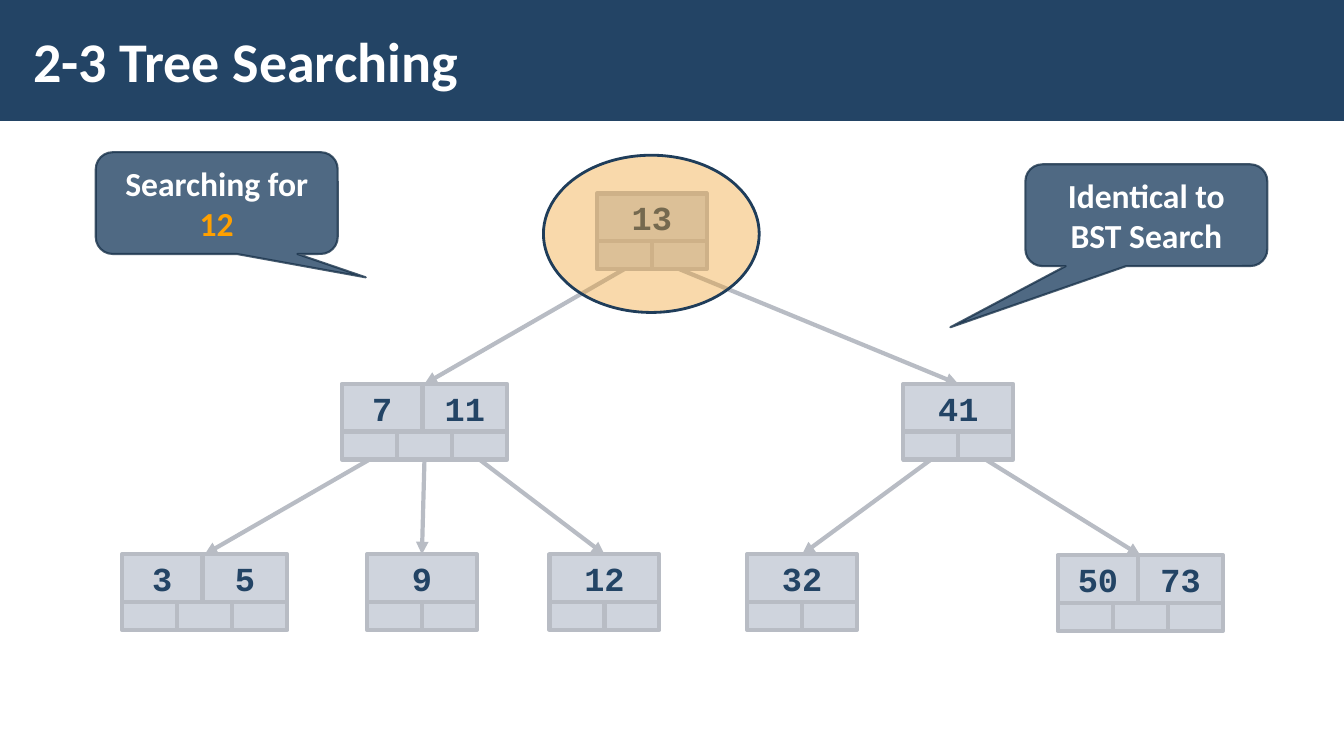
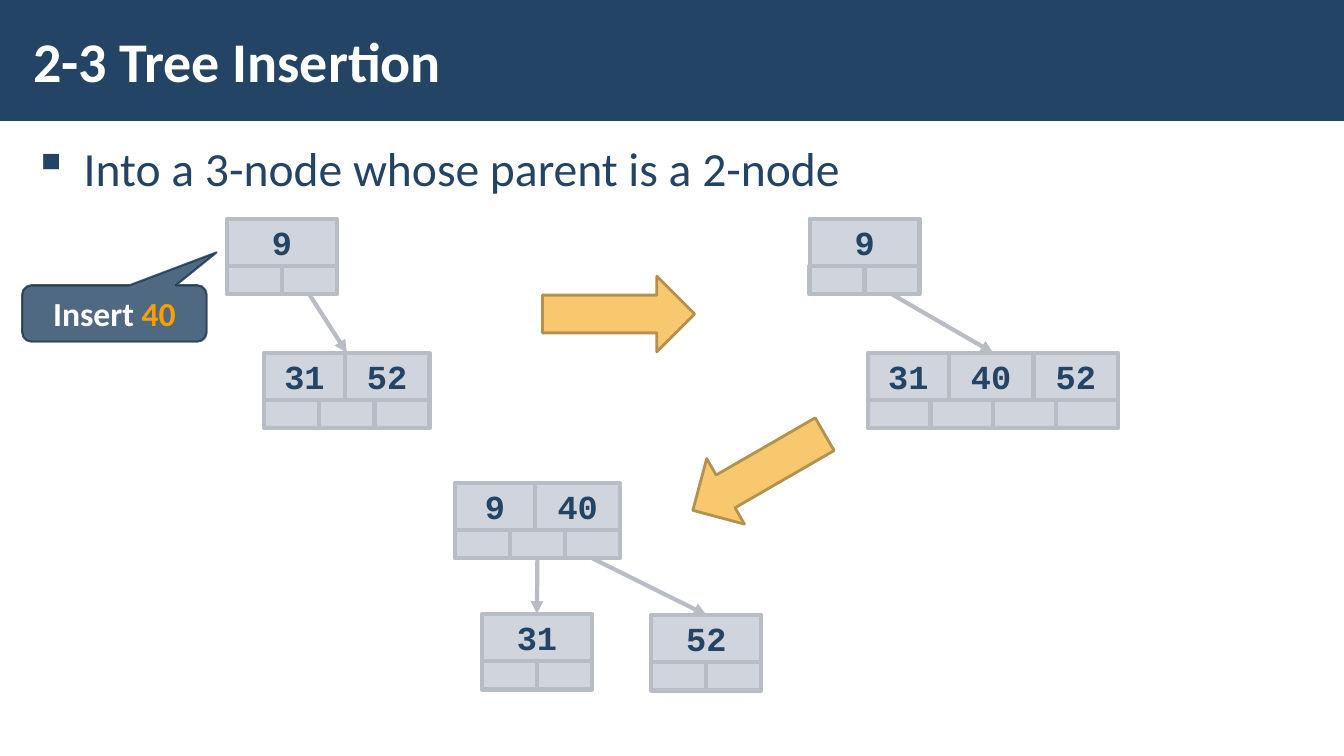
from lxml.etree import SubElement as Sub
from pptx import Presentation
from pptx.dml.color import RGBColor
from pptx.enum.shapes import MSO_CONNECTOR as Link, MSO_SHAPE as Shape
from pptx.enum.text import MSO_ANCHOR as Anchor, PP_ALIGN as Align
from pptx.oxml.ns import qn
from pptx.util import Inches, Pt

NAVY, WHITE, AMBER = "234465", "FFFFFF", "FFA000"
GREY, RULE = "A1AABC", "B8BCC4"
SANS, MONO = "Calibri", "Courier New"
KEY_H, SLOT_H = 0.47, 0.28
KEYS = {1: [1.09], 2: [0.8, 0.84], 3: [0.8, 0.84, 0.84]}


def color(code):
    return RGBColor.from_string(code)


class Deck:
    """Holds the shared style and the slide being drawn."""

    def __init__(self):
        self.prs = Presentation()
        self.prs.slide_width = Inches(13.33)
        self.prs.slide_height = Inches(7.5)

    def page(self, title):
        self.slide = self.prs.slides.add_slide(self.prs.slide_layouts[6])
        self.shape(Shape.RECTANGLE, (0, 0, 13.33, 1.2), NAVY)
        box = self.box((0.21, 0.11, 10.4, 0.97))
        box.vertical_anchor = Anchor.MIDDLE
        self.run(box.paragraphs[0], title, 40, WHITE, bold=True)

    def box(self, area):
        """Add a wrapping text box and return its text frame."""
        frame = self.slide.shapes.add_textbox(*map(Inches, area)).text_frame
        frame.word_wrap = True
        frame.margin_left = frame.margin_right = Inches(0.12)
        frame.margin_top = frame.margin_bottom = Inches(0.04)
        return frame

    def run(self, para, text, size, ink, face=SANS, bold=False):
        run = para.add_run()
        run.text = text
        font = run.font
        font.name, font.size, font.bold = face, Pt(size), bold
        font.color.rgb = color(ink)

    def shape(self, kind, area, fill, line=None, width=0, alphas=()):
        """Add a shape; alphas are the opacities of fill and line in percent."""
        shape = self.slide.shapes.add_shape(kind, *map(Inches, area))
        shape.shadow.inherit = False
        shape.fill.solid()
        shape.fill.fore_color.rgb = color(fill)
        if line:
            shape.line.color.rgb = color(line)
            shape.line.width = Pt(width)
        else:
            shape.line.fill.background()
        tints = list(shape.element.spPr.iter(qn("a:srgbClr")))
        for tint, alpha in zip(tints, alphas):
            Sub(tint, qn("a:alpha"), val=str(alpha * 1000))
        return shape

    def label(self, shape, runs, face=SANS):
        """Write centred bold (text, colour) runs into a shape."""
        frame = shape.text_frame
        frame.word_wrap = True
        frame.vertical_anchor = Anchor.MIDDLE
        para = frame.paragraphs[0]
        para.alignment = Align.CENTER
        for text, ink in runs:
            self.run(para, text, 24, ink, face, True)

    def bullet(self, text):
        para = self.box((0.21, 1.31, 12.92, 5.69)).paragraphs[0]
        para.line_spacing = 1.05
        self.run(para, text, 34, NAVY)
        props = para._p.get_or_add_pPr()
        props.set("marL", str(Inches(0.5)))
        props.set("indent", str(Inches(-0.5)))
        Sub(Sub(props, qn("a:buClr")), qn("a:srgbClr"), val=NAVY)
        Sub(props, qn("a:buChar"), char="▪")

    def callout(self, area, tip, *runs):
        shape = self.shape(Shape.ROUNDED_RECTANGULAR_CALLOUT, area, NAVY,
                           "1A334B", 1.5, (80, 80))
        for i, value in enumerate((*tip, 0.167)):
            shape.adjustments[i] = value
        self.label(shape, runs)

    def cell(self, *area):
        return self.shape(Shape.RECTANGLE, area, GREY, RULE, 3, (50,))

    def node(self, x, y, *keys):
        """Draw keys above one more child slot; return place and key count."""
        left = x
        for key, width in zip(keys, KEYS[len(keys)]):
            cell = self.cell(left, y, width, KEY_H)
            self.label(cell, [(str(key), NAVY)], MONO)
            left += width
        step = (left - x) / (len(keys) + 1)
        for i in range(len(keys) + 1):
            self.cell(x + i * step, y + KEY_H, step, SLOT_H)
        return x, y, len(keys)

    def link(self, top, slot, kid):
        """Point from a child slot of one node to the top of another."""
        x, y, count = top
        step = sum(KEYS[count]) / (count + 1)
        ends = (x + (slot + 0.5) * step, y + KEY_H + SLOT_H,
                kid[0] + sum(KEYS[kid[2]]) / 2, kid[1])
        line = self.slide.shapes.add_connector(
            Link.STRAIGHT, *map(Inches, ends))
        line.line.color.rgb = color(RULE)
        line.line.width = Pt(3)
        props = line.element.spPr
        Sub(props.find(qn("a:ln")), qn("a:tailEnd"), type="triangle")
        Sub(props, qn("a:effectLst"))

    def tree(self, top, kids):
        """Link a node to its children, given by slot."""
        for slot, kid in kids.items():
            self.link(top, slot, kid)

    def arrow(self, x, y, turn=0):
        shape = self.shape(Shape.RIGHT_ARROW, (x, y, 1.51, 0.75),
                           "F7C86D", "B4914F", 2)
        shape.rotation = turn


def search(deck):
    deck.page("2-3 Tree Searching")
    deck.callout((0.95, 1.51, 2.4, 1.01), (0.616, 0.73),
                 ("Searching for ", WHITE), ("12", AMBER))
    deck.callout((10.17, 1.63, 2.4, 1.01), (-0.81, 1.101),
                 ("Identical to BST Search", WHITE))
    root = deck.node(5.92, 1.92, 13)
    left = deck.node(3.39, 3.81, 7, 11)
    right = deck.node(8.96, 3.81, 41)
    deck.tree(root, {0: left, 1: right})
    deck.tree(left, {0: deck.node(1.21, 5.5, 3, 5),
                     1: deck.node(3.64, 5.5, 9),
                     2: deck.node(5.45, 5.5, 12)})
    deck.tree(right, {0: deck.node(7.41, 5.5, 32),
                      1: deck.node(10.49, 5.51, 50, 73)})
    deck.shape(Shape.OVAL, (5.39, 1.54, 2.14, 1.56), "F0A22E",
               "1F3D5A", 2, (40,))


def insert(deck):
    deck.page("2-3 Tree Insertion")
    deck.bullet("Into a 3-node whose parent is a 2-node")
    deck.tree(deck.node(2.25, 2.17, 9), {1: deck.node(2.62, 3.5, 31, 52)})
    deck.callout((0.22, 2.83, 1.83, 0.56), (0.554, -1.082),
                 ("Insert ", WHITE), ("40", AMBER))
    deck.tree(deck.node(8.03, 2.17, 9),
              {1: deck.node(8.61, 3.5, 31, 40, 52)})
    deck.arrow(5.38, 2.74)
    deck.arrow(6.77, 4.31, 150)
    deck.tree(deck.node(4.51, 4.79, 9, 40),
              {1: deck.node(4.78, 6.09, 31), 2: deck.node(6.46, 6.1, 52)})


def main():
    deck = Deck()
    search(deck)
    insert(deck)
    deck.prs.save("out.pptx")


if __name__ == "__main__":
    main()
